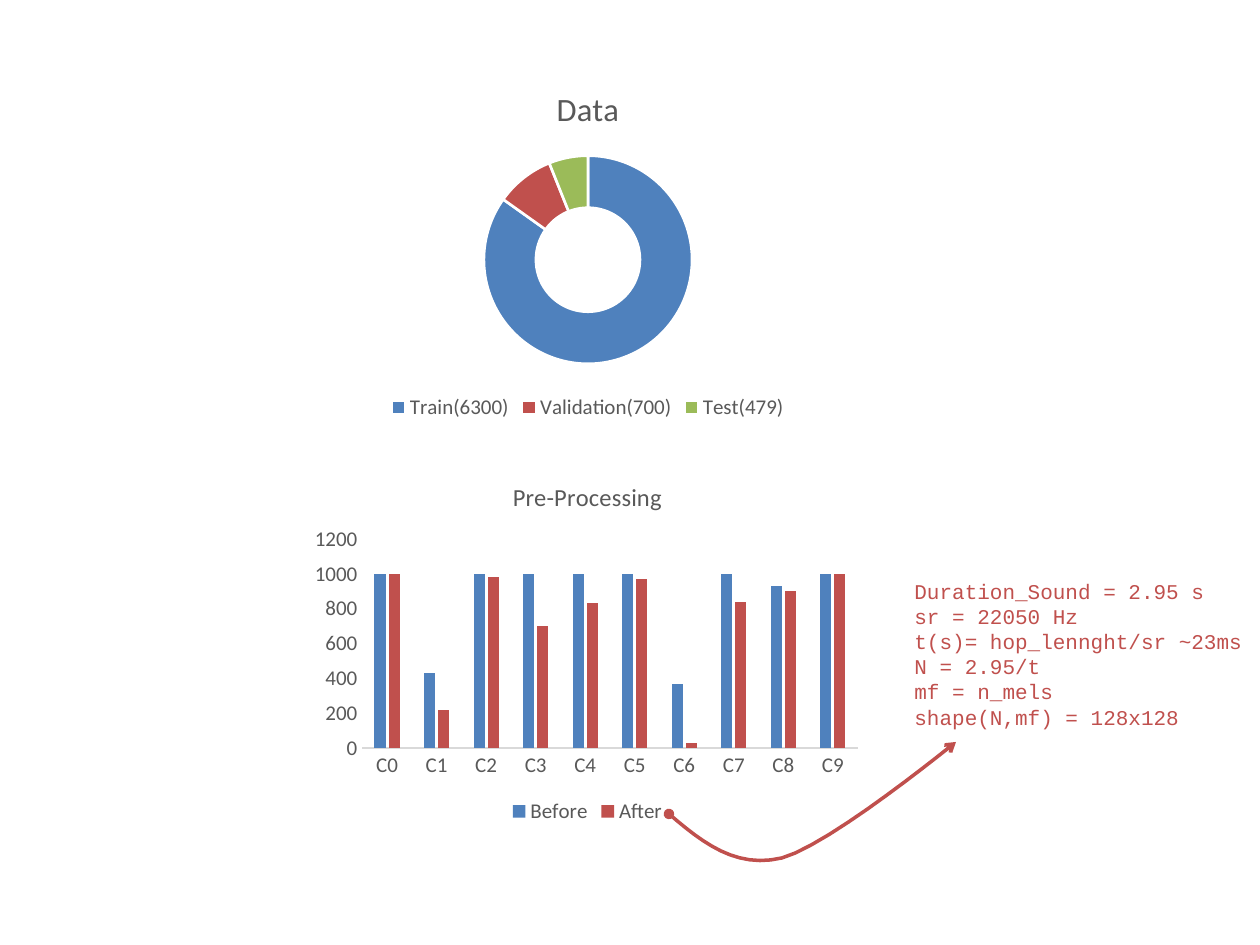
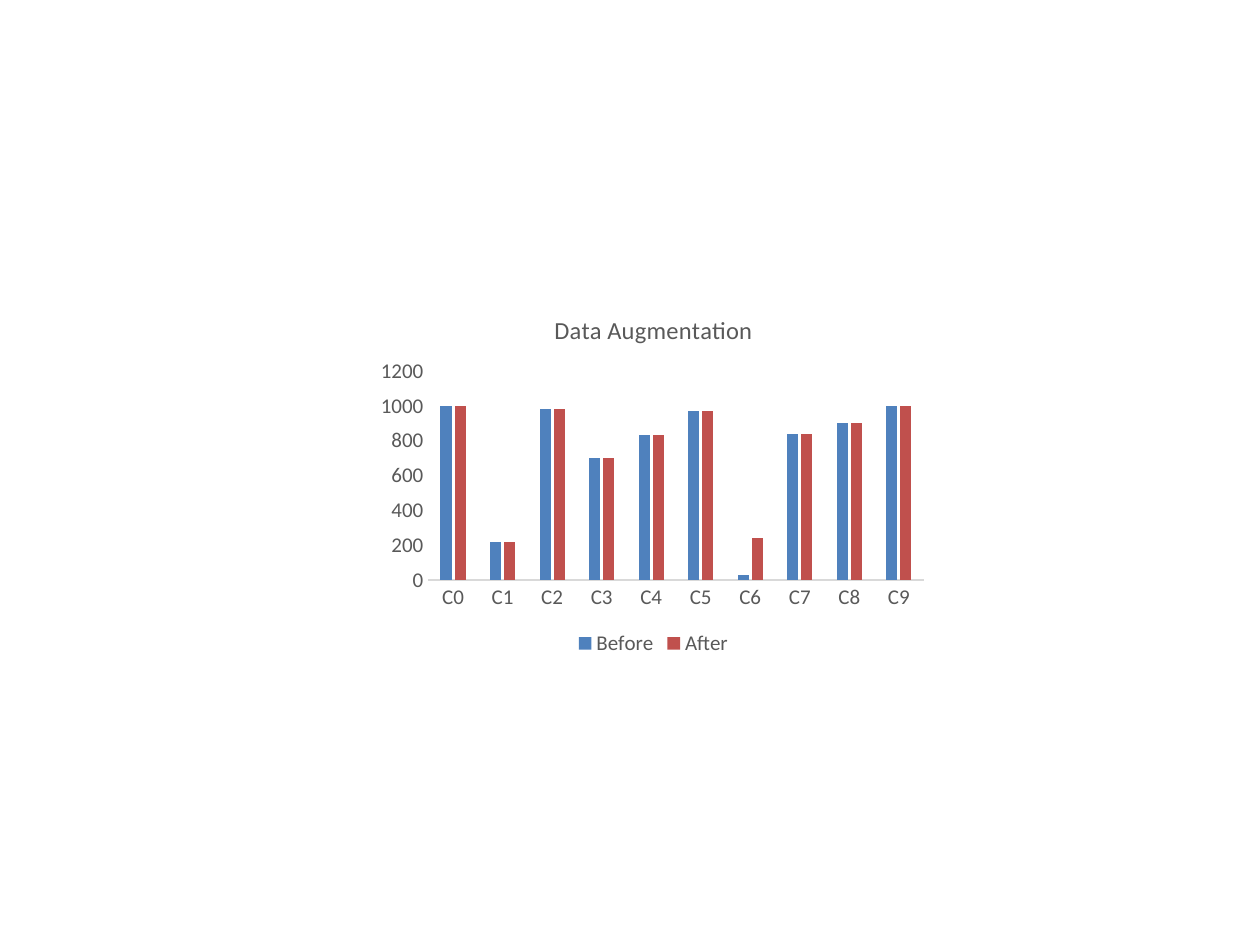
from dataclasses import dataclass

from lxml.etree import SubElement
from pptx import Presentation
from pptx.chart.data import CategoryChartData
from pptx.dml.color import RGBColor
from pptx.enum.chart import XL_CHART_TYPE, XL_LEGEND_POSITION, XL_TICK_MARK
from pptx.oxml import parse_xml
from pptx.oxml.ns import nsdecls, qn
from pptx.util import Pt

# Content; boxes are (left, top, width, height) in px
SLIDE_SIZE = (1260, 945)
CLASSES = [f"C{number}" for number in range(10)]
CLEANED = [1000, 220, 980, 700, 830, 970, 30, 840, 900, 1000]

PRE_PROCESSING = {
    "title": "Pre-Processing",
    "box": (306, 462, 563, 367),
    "series": {
        "Before": [1000, 430, 1000, 1000, 1000, 1000, 370, 1000, 930, 1000],
        "After": CLEANED,
    },
}
AUGMENTATION = {
    "title": "Data Augmentation",
    "box": (372, 294, 563, 367),
    "series": {
        "Before": CLEANED,
        "After": [1000, 220, 980, 700, 830, 970, 240, 840, 900, 1000],
    },
}
DATA_SPLIT = {
    "title": "Data",
    "box": (239, 66, 698, 359),
    "shares": {"Train(6300)": 84, "Validation(700)": 9, "Test(479)": 6},
}
PARAMETERS = [
    "Duration_Sound = 2.95 s",
    "sr = 22050 Hz",
    "t(s)= hop_lennght/sr ~23ms",
    "N = 2.95/t",
    "mf = n_mels",
    "shape(N,mf) = 128x128",
]
PARAMETERS_BOX = (902, 572, 357, 165)

# Arrow from the legend to the parameters: two Bezier curves
ARROW_CURVES = [
    [(669, 814), (703, 843), (736, 869), (782, 858)],
    [(782, 858), (830, 845), (956, 742), (956, 742)],
]
CURVE_STEPS = 12

# Plot areas as shares of the chart: x, y, w, h
BAR_PLOT = (0.1, 0.21, 0.88, 0.57)
RING_PLOT = (0.35, 0.25, 0.3, 0.58)


@dataclass(frozen=True)
class Theme:
    palette: tuple = tuple(map(RGBColor.from_string, ("4F81BD", "C0504D", "9BBB59")))
    accent: RGBColor = RGBColor(0xC0, 0x50, 0x4D)
    text: RGBColor = RGBColor(0x59, 0x59, 0x59)
    axis: RGBColor = RGBColor(0xD9, 0xD9, 0xD9)
    white: RGBColor = RGBColor(0xFF, 0xFF, 0xFF)
    font: str = "Calibri"
    code_font: str = "Courier New"
    body_size: float = 12
    bar_title: float = 14
    ring_title: float = 18.6


THEME = Theme()


def px(length):
    return round(length * 914400 / 126)


def style_font(font, size, color=THEME.text, name=THEME.font):
    font.name, font.size, font.bold = name, Pt(size), False
    font.color.rgb = color


def place_plot(chart, area):
    plot_area = chart._chartSpace.chart.plotArea
    for previous in plot_area.findall(qn("c:layout")):
        plot_area.remove(previous)
    places = "".join(f'<c:{key} val="{share}"/>' for key, share in zip("xywh", area))
    plot_area.insert(0, parse_xml(
        f'<c:layout {nsdecls("c")}><c:manualLayout><c:layoutTarget val="inner"/>'
        f'<c:xMode val="edge"/><c:yMode val="edge"/>{places}'
        "</c:manualLayout></c:layout>"))


def add_titled_chart(slide, kind, content, categories, series, title_size, area):
    data = CategoryChartData()
    data.categories = categories
    for name, values in series.items():
        data.add_series(name, values)
    chart = slide.shapes.add_chart(kind, *map(px, content["box"]), data).chart
    style_font(chart.font, THEME.body_size)
    chart.has_title = True
    heading = chart.chart_title.text_frame
    heading.text = content["title"]
    style_font(heading.paragraphs[0].font, title_size)
    chart.chart_title.include_in_layout = False
    chart.has_legend = True
    chart.legend.position = XL_LEGEND_POSITION.BOTTOM
    chart.legend.include_in_layout = False
    style_font(chart.legend.font, THEME.body_size)
    place_plot(chart, area)
    return chart


def add_class_bars(slide, content):
    chart = add_titled_chart(slide, XL_CHART_TYPE.COLUMN_CLUSTERED, content, CLASSES,
                             content["series"], THEME.bar_title, BAR_PLOT)
    bars = chart.plots[0]
    bars.gap_width, bars.overlap, bars.vary_by_categories = 219, -27, False
    for series, color in zip(bars.series, THEME.palette):
        series.format.fill.solid()
        series.format.fill.fore_color.rgb = color
    for axis in (chart.category_axis, chart.value_axis):
        axis.major_tick_mark = axis.minor_tick_mark = XL_TICK_MARK.NONE
        axis.has_major_gridlines = False
        style_font(axis.tick_labels.font, THEME.body_size)
    chart.category_axis.format.line.color.rgb = THEME.axis
    chart.category_axis.format.line.width = Pt(0.75)
    counts = chart.value_axis
    counts.format.line.fill.background()
    counts.minimum_scale, counts.maximum_scale, counts.major_unit = 0, 1200, 200


def add_split_ring(slide, content):
    shares = content["shares"]
    chart = add_titled_chart(slide, XL_CHART_TYPE.DOUGHNUT, content, list(shares),
                             {content["title"]: list(shares.values())},
                             THEME.ring_title, RING_PLOT)
    ring = chart.plots[0]
    ring.vary_by_categories = True
    ring._element.find(qn("c:holeSize")).set("val", "75")
    for index, color in enumerate(THEME.palette):
        part = ring.series[0].points[index].format
        part.fill.solid()
        part.fill.fore_color.rgb = color
        part.line.color.rgb = THEME.white
        part.line.width = Pt(1.5)


def add_parameters(slide):
    frame = slide.shapes.add_textbox(*map(px, PARAMETERS_BOX)).text_frame
    frame.word_wrap = True
    frame.text = "\n".join(PARAMETERS)
    for paragraph in frame.paragraphs:
        style_font(paragraph.font, THEME.body_size, THEME.accent, THEME.code_font)


def bezier_point(curve, t):
    weights = ((1 - t) ** 3, 3 * t * (1 - t) ** 2, 3 * t * t * (1 - t), t ** 3)
    return tuple(px(sum(weight * place for weight, place in zip(weights, places)))
                 for places in zip(*curve))


def add_arrow(slide):
    route = [bezier_point(curve, step / CURVE_STEPS)
             for curve in ARROW_CURVES for step in range(1, CURVE_STEPS + 1)]
    builder = slide.shapes.build_freeform(*map(px, ARROW_CURVES[0][0]))
    builder.add_line_segments(route, close=False)
    arrow = builder.convert_to_shape()
    arrow.shadow.inherit = False
    arrow.fill.background()
    arrow.line.color.rgb = THEME.accent
    arrow.line.width = Pt(2)
    stroke = arrow.line._get_or_add_ln()
    SubElement(stroke, qn("a:round"))
    SubElement(stroke, qn("a:headEnd"), type="oval")
    SubElement(stroke, qn("a:tailEnd"), type="arrow")


def main():
    deck = Presentation()
    deck.slide_width, deck.slide_height = map(px, SLIDE_SIZE)
    blank = deck.slide_layouts[6]

    # Data split and pre-processing
    split_slide = deck.slides.add_slide(blank)
    add_class_bars(split_slide, PRE_PROCESSING)
    add_split_ring(split_slide, DATA_SPLIT)
    add_parameters(split_slide)
    add_arrow(split_slide)

    # Data augmentation
    add_class_bars(deck.slides.add_slide(blank), AUGMENTATION)

    deck.save("out.pptx")


if __name__ == "__main__":
    main()
